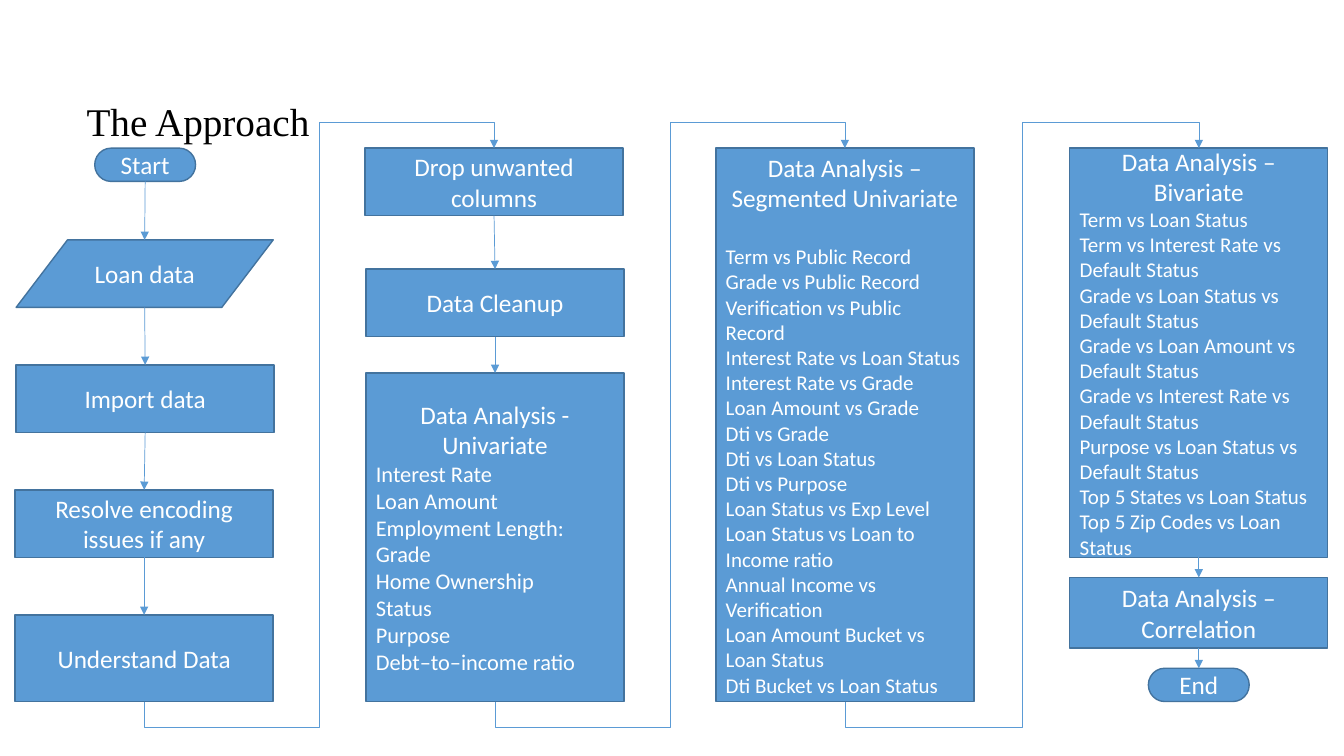
from lxml.etree import SubElement
from pptx import Presentation
from pptx.dml.color import RGBColor
from pptx.enum.shapes import MSO_CONNECTOR as LINK, MSO_SHAPE as SHAPE
from pptx.enum.text import MSO_ANCHOR as ANCHOR, MSO_AUTO_SIZE as AUTO_SIZE, PP_ALIGN as ALIGN
from pptx.oxml.ns import qn
from pptx.util import Inches, Pt


def color(value):
    return RGBColor.from_string(value)


def add_text(paragraph, text, **font_format):
    run = paragraph.add_run()
    run.text = text
    run.font.color.rgb = color(font_format.pop("hex_color"))
    for name, value in font_format.items():
        setattr(run.font, name, value)


presentation = Presentation()
presentation.slide_width = Inches(13.33)
presentation.slide_height = Inches(7.5)
slide = presentation.slides.add_slide(presentation.slide_layouts[5])

# Title
title = slide.shapes.title
title_place = {"left": 0.62, "top": 0.7, "width": 10.19, "height": 0.94}
for name, value in title_place.items():
    setattr(title, name, Inches(value))
title_frame = title.text_frame
frame_format = {"auto_size": AUTO_SIZE.NONE, "vertical_anchor": ANCHOR.MIDDLE, "word_wrap": True}
for name, value in frame_format.items():
    setattr(title_frame, name, value)
paragraph = title_frame.paragraphs[0]
paragraph.alignment = ALIGN.LEFT
paragraph.line_spacing = 0.9
for text, size, bold in [(" ", 40, True), ("The Approach", 28, False)]:
    add_text(paragraph, text, size=Pt(size), bold=bold, name="Times New Roman", hex_color="000000")

# Topics listed inside the analysis boxes
univariate = [
    "Interest Rate", "Loan Amount", "Employment Length:", "Grade",
    "Home Ownership", "Status", "Purpose", "Debt–to–income ratio",
]
segmented = [
    "Term vs Public Record", "Grade vs Public Record", "Verification vs Public Record",
    "Interest Rate vs Loan Status", "Interest Rate vs Grade", "Loan Amount vs Grade",
    "Dti vs Grade", "Dti vs Loan Status", "Dti vs Purpose", "Loan Status vs Exp Level",
    "Loan Status vs Loan to Income ratio", "Annual Income vs Verification",
    "Loan Amount Bucket vs Loan Status", "Dti Bucket vs Loan Status",
]
bivariate = [
    "Term vs Loan Status", "Term vs Interest Rate vs Default Status",
    "Grade vs Loan Status vs Default Status", "Grade vs Loan Amount vs Default Status",
    "Grade vs Interest Rate vs Default Status", "Purpose vs Loan Status vs Default Status",
    "Top 5 States vs Loan Status", "Top 5 Zip Codes vs Loan Status",
]

# Steps in flow order: kind, left, top, width, height, heading, topics, topic size, heading gap
PROCESS = SHAPE.FLOWCHART_PROCESS
TERMINATOR = SHAPE.FLOWCHART_TERMINATOR
steps = [
    (TERMINATOR, 0.94, 1.47, 1, 0.33, "Start", [], 0, 0),
    (SHAPE.FLOWCHART_DATA, 0.16, 2.38, 2.55, 0.67, "Loan data", [], 0, 0),
    (PROCESS, 0.16, 3.62, 2.56, 0.67, "Import data", [], 0, 0),
    (PROCESS, 0.15, 4.86, 2.56, 0.67, "Resolve encoding issues if any", [], 0, 0),
    (PROCESS, 0.15, 6.1, 2.56, 0.86, "Understand Data", [], 0, 0),
    (PROCESS, 3.62, 1.47, 2.56, 0.67, "Drop unwanted columns", [], 0, 0),
    (PROCESS, 3.63, 2.67, 2.56, 0.67, "Data Cleanup", [], 0, 0),
    (PROCESS, 3.63, 3.7, 2.56, 3.26, "Data Analysis - Univariate", univariate, 16, 0),
    (PROCESS, 7.1, 1.47, 2.56, 5.49, "Data Analysis – Segmented Univariate", segmented, 15, 22),
    (PROCESS, 10.61, 1.47, 2.56, 4.06, "Data Analysis – Bivariate", bivariate, 15, 0),
    (PROCESS, 10.61, 5.73, 2.56, 0.7, "Data Analysis – Correlation", [], 0, 0),
    (TERMINATOR, 11.39, 6.63, 1, 0.33, "End", [], 0, 0),
]
boxes = []
for kind, left, top, width, height, heading, topics, topic_size, gap in steps:
    box = slide.shapes.add_shape(kind, Inches(left), Inches(top), Inches(width), Inches(height))
    box.shadow.inherit = False
    box.fill.solid()
    box.fill.fore_color.rgb = color("5B9BD5")
    box.line.color.rgb = color("43739E")
    box.line.width = Pt(1)
    frame = box.text_frame
    frame.word_wrap = True
    frame.vertical_anchor = ANCHOR.MIDDLE
    paragraph = frame.paragraphs[0]
    paragraph.alignment = ALIGN.CENTER
    paragraph.space_after = Pt(gap)
    add_text(paragraph, heading, size=Pt(18), name="Calibri", hex_color="FFFFFF")
    for topic in topics:
        paragraph = frame.add_paragraph()
        paragraph.alignment = ALIGN.LEFT
        add_text(paragraph, topic, size=Pt(topic_size), name="Calibri", hex_color="FFFFFF")
    boxes.append(box)

# Arrows from each step to the next; a new column is reached by a bent arrow
OVERSHOOT = Inches(0.25)
for box, following in zip(boxes, boxes[1:]):
    begin_x, begin_y = box.left + box.width // 2, box.top + box.height
    end_x, end_y = following.left + following.width // 2, following.top
    if end_y > begin_y:
        arrow = slide.shapes.add_connector(LINK.STRAIGHT, begin_x, begin_y, end_x, end_y)
    else:
        # Laid out sideways around its centre, then turned by 90 degrees
        rise, run_length = begin_y - end_y, end_x - begin_x
        left = (begin_x + end_x - rise) // 2
        top = (begin_y + end_y - run_length) // 2
        arrow = slide.shapes.add_connector(LINK.ELBOW, left + rise, top + run_length, left, top)
        properties = arrow._element.spPr
        properties.find(qn("a:xfrm")).set("rot", "5400000")
        geometry = properties.find(qn("a:prstGeom"))
        geometry.set("prst", "bentConnector5")
        adjustments = geometry.find(qn("a:avLst"))
        if adjustments is None:
            adjustments = SubElement(geometry, qn("a:avLst"))
        share = round(OVERSHOOT / rise * 100000)
        for number, value in enumerate([-share, 50000, 100000 + share], start=1):
            SubElement(adjustments, qn("a:gd"), name=f"adj{number}", fmla=f"val {value}")
    arrow.line.color.rgb = color("5B9BD5")
    arrow.line.width = Pt(0.5)
    SubElement(arrow.line._get_or_add_ln(), qn("a:tailEnd"), type="triangle")
    SubElement(arrow._element.spPr, qn("a:effectLst"))

presentation.save("out.pptx")
